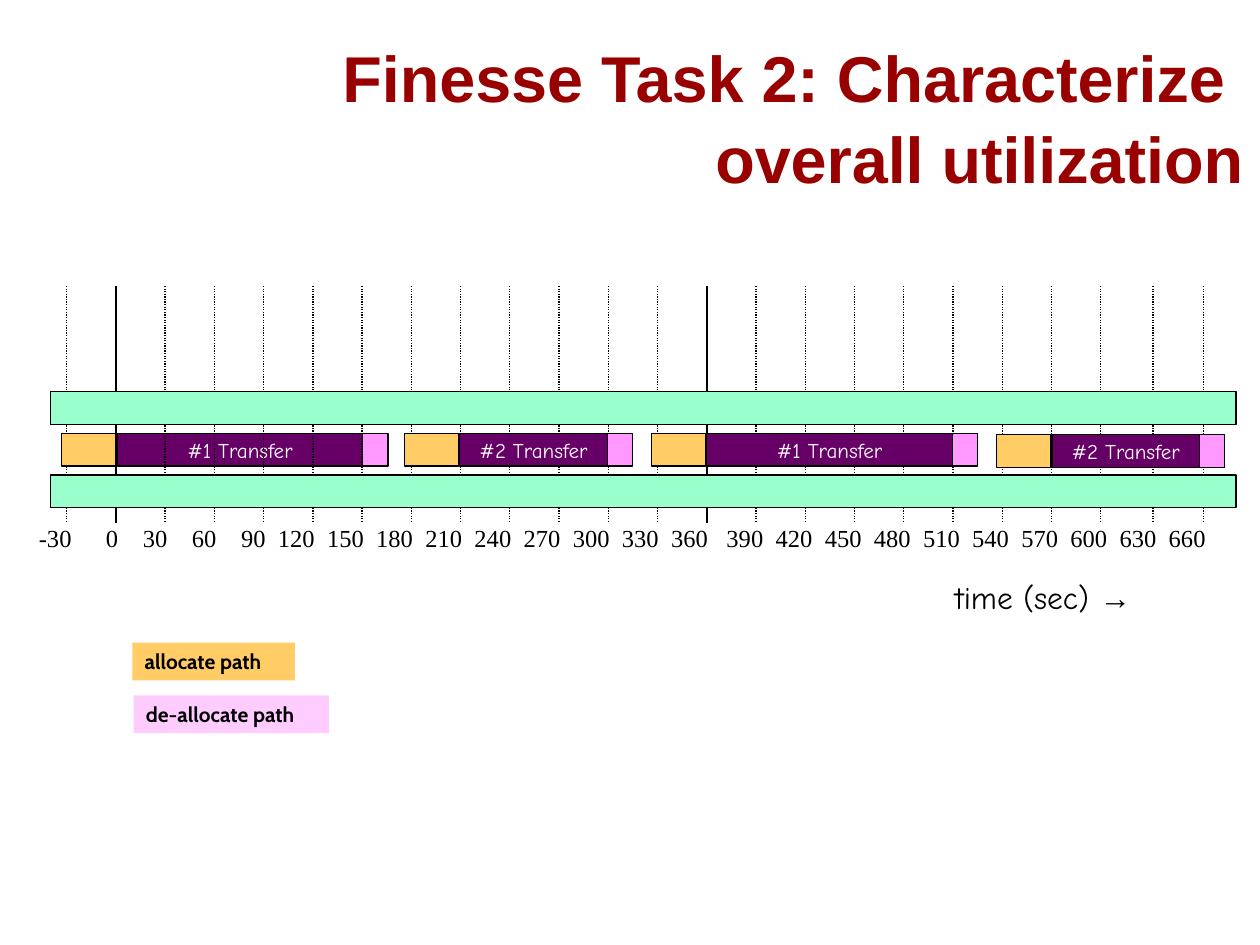
from lxml.etree import SubElement
from pptx import Presentation
from pptx.dml.color import RGBColor
from pptx.enum.dml import MSO_LINE
from pptx.enum.shapes import MSO_CONNECTOR, MSO_SHAPE
from pptx.enum.text import MSO_ANCHOR, MSO_AUTO_SIZE, PP_ALIGN
from pptx.oxml.ns import qn
from pptx.util import Inches, Pt

COLORS = {
    "title": "990000", "ink": "000000", "label": "FFFFFF", "band": "99FFCC",
    "allocate": "FFCC66", "transfer": "660066",
    "deallocate": "FF99FF", "deallocate_key": "FFCCFF",
}


def color(name):
    return RGBColor.from_string(COLORS[name])


class TimelineSlide:
    def __init__(self, presentation):
        self.slide = presentation.slides.add_slide(presentation.slide_layouts[5])

    def style(self, paragraph, font_name, size, ink="ink", bold=False):
        font = paragraph.font
        font.name, font.size, font.bold = font_name, Pt(size), bold
        font.color.rgb = color(ink)

    def title(self, text, left, top, width, height):
        title = self.slide.shapes.title
        title.left, title.top = Inches(left), Inches(top)
        title.width, title.height = Inches(width), Inches(height)
        frame = title.text_frame
        frame.text = text
        frame.word_wrap, frame.auto_size = True, MSO_AUTO_SIZE.NONE
        frame.vertical_anchor = MSO_ANCHOR.MIDDLE
        paragraph = frame.paragraphs[0]
        paragraph.alignment = PP_ALIGN.RIGHT
        paragraph.line_spacing = 1.05
        self.style(paragraph, "Arial", 37, "title", True)

    def text(self, left, top, width, height):
        box = self.slide.shapes.add_textbox(
            Inches(left), Inches(top), Inches(width), Inches(height))
        box.text_frame.word_wrap = True
        return box.text_frame.paragraphs[0]

    def tabbed_row(self, words, stops, left, top, width, height):
        row = self.text(left, top, width, height)
        row.text = "\t".join(words)
        tab_list = SubElement(row._p.get_or_add_pPr(), qn("a:tabLst"))
        for stop in stops:
            SubElement(tab_list, qn("a:tab"), pos=str(Inches(stop)), algn="r")
        self.style(row, "Times New Roman", 14)

    def bar(self, fill, left, top, width, height=0.26, outlined=True):
        bar = self.slide.shapes.add_shape(
            MSO_SHAPE.RECTANGLE, Inches(left), Inches(top), Inches(width), Inches(height))
        bar.shadow.inherit = False
        bar.fill.solid()
        bar.fill.fore_color.rgb = color(fill)
        if outlined:
            bar.line.color.rgb = color("ink")
            bar.line.width = Pt(0.75)
        else:
            bar.line.fill.background()
        return bar

    def transfer(self, label, start, width, top):
        self.bar("allocate", start - 0.44, top, 0.43)
        self.bar("deallocate", start + width, top, 0.2)
        frame = self.bar("transfer", start, top, width).text_frame
        frame.text = label
        frame.word_wrap = False
        frame.vertical_anchor = MSO_ANCHOR.MIDDLE
        frame.paragraphs[0].alignment = PP_ALIGN.CENTER
        self.style(frame.paragraphs[0], "Comic Neue", 12, "label")

    def legend(self, label, fill, left, top, width):
        frame = self.bar(fill, left, top, width, 0.3, outlined=False).text_frame
        frame.text = label
        frame.word_wrap = False
        frame.vertical_anchor = MSO_ANCHOR.TOP
        frame.paragraphs[0].alignment = PP_ALIGN.LEFT
        self.style(frame.paragraphs[0], "Cabin", 12, bold=True)

    def time_mark(self, x, major):
        mark = self.slide.shapes.add_connector(
            MSO_CONNECTOR.STRAIGHT, Inches(x), Inches(2.27), Inches(x), Inches(4.15))
        SubElement(mark._element.spPr, qn("a:effectLst"))
        mark.line.color.rgb = color("ink")
        mark.line.width = Pt(1.5 if major else 0.75)
        if not major:
            mark.line.dash_style = MSO_LINE.ROUND_DOT


def main():
    presentation = Presentation()
    presentation.slide_width, presentation.slide_height = Inches(10), Inches(7.5)
    timeline = TimelineSlide(presentation)
    timeline.title("Finesse Task 2: Characterize \voverall utilization", 0, 0.5, 9.97, 0.83)

    # Time marks every 30 seconds; a bold one starts each 360-second cycle
    seconds = range(-30, 661, 30)
    zero_x, cycle_x = 0.92, 5.61
    step = (cycle_x - zero_x) / 12
    marks = [(zero_x + step * s / 30, s % 360 == 0) for s in seconds[:-2]]
    marks += [(9.15, False), (9.55, False)]

    # First transfer lies between the marks, the others on top of them
    for x, major in marks[:2]:
        timeline.time_mark(x, major)
    timeline.transfer("#1 Transfer", 0.93, 1.95, 3.44)
    for x, major in marks[2:]:
        timeline.time_mark(x, major)
    for start, label, width, top in (
        (3.65, "#2 Transfer", 1.17, 3.44),
        (5.61, "#1 Transfer", 1.95, 3.44),
        (8.35, "#2 Transfer", 1.17, 3.45),
    ):
        timeline.transfer(label, start, width, top)

    # Bands above and below the transfers
    for top in (3.11, 3.77):
        timeline.bar("band", 0.4, top, 9.41)

    # Time axis: right-aligned stops, slightly shifted in the second cycle
    stops = [0.63 + 0.39 * s / 30 + (0.05 if s > 360 else 0) for s in seconds[1:]]
    timeline.tabbed_row([str(s) for s in seconds], stops, 0.21, 4.1, 9.48, 0.34)
    axis_title = timeline.text(7.48, 4.54, 1.6, 0.4)
    axis_title.add_run().text = "time (sec) "
    arrow = axis_title.add_run()
    arrow.text = "→"
    timeline.style(axis_title, "Comic Neue", 18)
    arrow.font.name = "Arial"

    # Legend
    timeline.legend("allocate path", "allocate", 1.05, 5.1, 1.29)
    timeline.legend("de-allocate path", "deallocate_key", 1.06, 5.52, 1.55)

    presentation.save("out.pptx")


if __name__ == "__main__":
    main()
